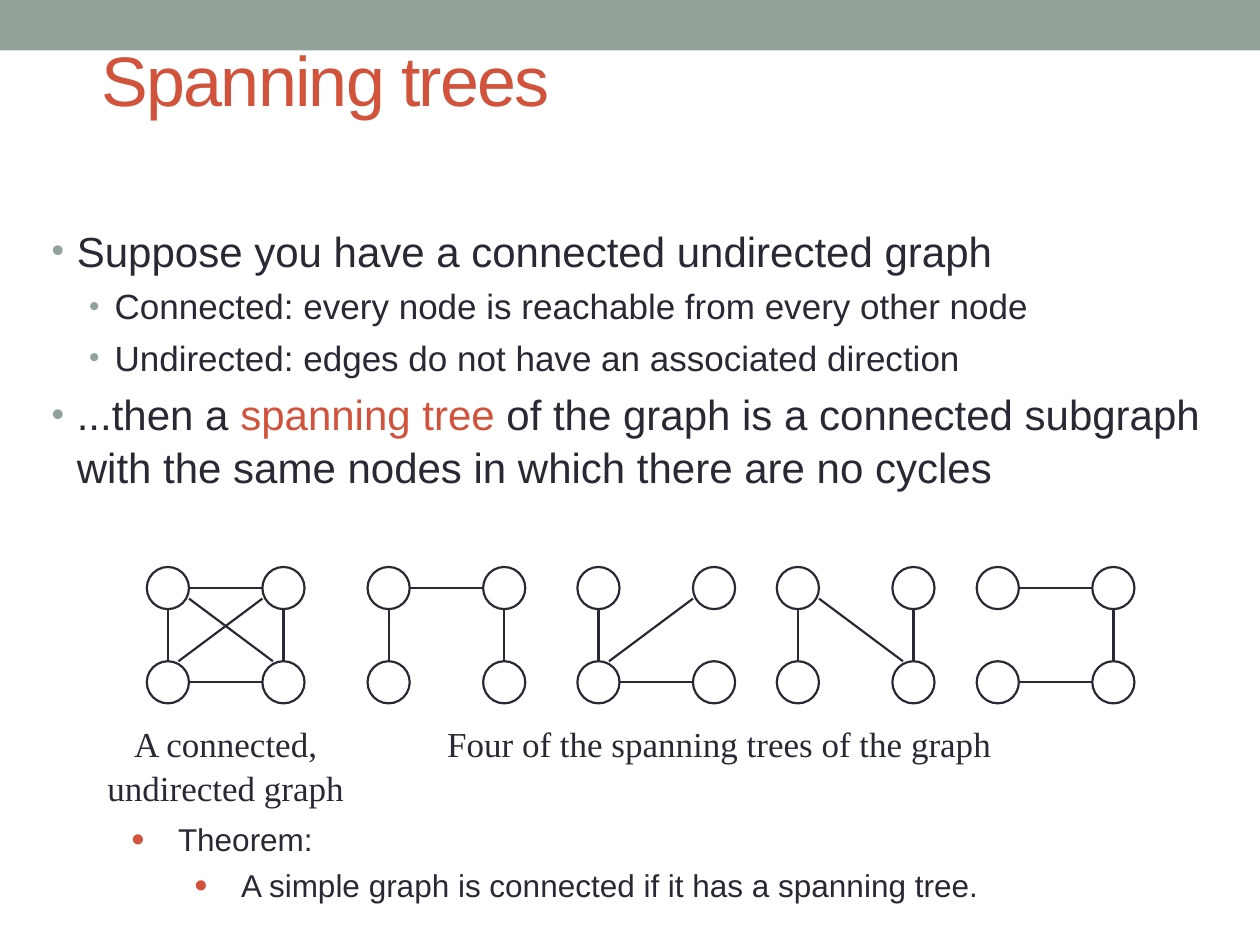
"""Builds a slide on the spanning trees of a connected undirected graph."""
from dataclasses import dataclass

from lxml import etree
from pptx import Presentation
from pptx import util as u
from pptx.dml import color
from pptx.enum import shapes, text
from pptx.oxml import ns

INK, ACCENT, SAGE = "292934", "D2533C", "93A299"
NODE, COL, ROW, TOP = 0.85, 2.33, 1.9, 11.43
NODES = {"TL": (0, 0), "BL": (0, ROW), "BR": (COL, ROW), "TR": (COL, 0)}
HALF, NEAR, FAR = NODE / 2, NODE * 0.75, NODE * 0.25
EDGES = {
    "left": (HALF, NODE, HALF, ROW),
    "right": (COL + HALF, NODE, COL + HALF, ROW),
    "top": (NODE, HALF, COL, HALF),
    "bottom": (NODE, ROW + HALF, COL, ROW + HALF),
    "rising": (NEAR, ROW, COL, NEAR),
    "falling": (NODE, NEAR, COL + FAR, ROW),
}


@dataclass
class Graph:
    left: float
    edges: str


@dataclass
class Bullet:
    char: str
    color: str
    percent: int
    margin: float
    hang: float


@dataclass
class Para:
    runs: list[tuple[str, str]]
    size: float
    bullet: Bullet | None = None
    level: int = 0


FULL_GRAPH = Graph(2.96, "left right top bottom rising falling")
TREES = [
    Graph(7.41, "left right top"),
    Graph(11.64, "left bottom rising"),
    Graph(15.66, "left right falling"),
    Graph(19.69, "right top bottom"),
]
POINT = Bullet("•", SAGE, 85, 0.51, 0.51)
SUBPOINT = Bullet("•", SAGE, 85, 1.27, 0.51)
THEOREM = Bullet("●", ACCENT, 75, 0.95, 0.95)
SUBTHEOREM = Bullet("●", ACCENT, 75, 2.22, 0.95)


def rgb(code: str) -> color.RGBColor:
    return color.RGBColor.from_string(code)


def add_bullet(p, bullet: Bullet) -> None:
    pPr = p._p.get_or_add_pPr()
    pPr.set("marL", str(u.Cm(bullet.margin)))
    pPr.set("indent", str(-u.Cm(bullet.hang)))
    clr = etree.SubElement(pPr, ns.qn("a:buClr"))
    etree.SubElement(clr, ns.qn("a:srgbClr"), val=bullet.color)
    etree.SubElement(pPr, ns.qn("a:buSzPct"), val=str(bullet.percent * 1000))
    etree.SubElement(pPr, ns.qn("a:buFont"), typeface="Arial")
    etree.SubElement(pPr, ns.qn("a:buChar"), char=bullet.char)


def add_text(parent, box: tuple, paras: list[Para], *, font: str = "Arial",
             align=text.PP_ALIGN.LEFT, anchor=text.MSO_ANCHOR.TOP,
             before: float = 0.2, leading: float = 1.05, tracking: float = 0) -> None:
    tf = parent.add_textbox(*map(u.Cm, box)).text_frame
    tf.word_wrap = True
    tf.vertical_anchor = anchor
    for i, para in enumerate(paras):
        p = tf.add_paragraph() if i else tf.paragraphs[0]
        p.alignment, p.level, p.line_spacing = align, para.level, leading
        p.space_before = u.Pt(para.size * before)
        if para.bullet:
            add_bullet(p, para.bullet)
        for words, code in para.runs:
            for n, line in enumerate(words.split("\n")):
                if n:
                    p.add_line_break()
                r = p.add_run()
                r.text = line
                r.font.name, r.font.size = font, u.Pt(para.size)
                r.font.color.rgb = rgb(code)
                if tracking:
                    r._r.get_or_add_rPr().set("spc", str(int(tracking * 100)))


def add_caption(parent, box: tuple, words: str) -> None:
    add_text(parent, box, [Para([(words, INK)], 20)], font="Times New Roman",
             align=text.PP_ALIGN.CENTER, before=0.5)


def add_outline(line) -> None:
    line.color.rgb = rgb(INK)
    line.width = u.Pt(1.25)


def add_graph(parent, graph: Graph) -> None:
    for x, y in NODES.values():
        sp = parent.add_shape(shapes.MSO_SHAPE.OVAL, u.Cm(graph.left + x),
                              u.Cm(TOP + y), u.Cm(NODE), u.Cm(NODE))
        sp.shadow.inherit = False
        sp.fill.background()
        add_outline(sp.line)
    for edge in graph.edges.split():
        x1, y1, x2, y2 = EDGES[edge]
        cxn = parent.add_connector(shapes.MSO_CONNECTOR.STRAIGHT,
                                   u.Cm(graph.left + x1), u.Cm(TOP + y1),
                                   u.Cm(graph.left + x2), u.Cm(TOP + y2))
        add_outline(cxn.line)
        etree.SubElement(cxn._element.spPr, ns.qn("a:effectLst"))


def main() -> None:
    prs = Presentation()
    prs.slide_width, prs.slide_height = u.Cm(25.4), u.Cm(19.05)
    s = prs.slides.add_slide(prs.slide_layouts[6])

    bar = s.shapes.add_shape(shapes.MSO_SHAPE.RECTANGLE, 0, 0, prs.slide_width, u.Cm(1.02))
    bar.shadow.inherit = False
    bar.fill.solid()
    bar.fill.fore_color.rgb = rgb(SAGE)
    bar.line.fill.background()

    add_text(s.shapes, (1.8, 0, 21.8, 3.18), [Para([("Spanning trees", ACCENT)], 40)],
             anchor=text.MSO_ANCHOR.MIDDLE, before=0, leading=1, tracking=-1)
    add_text(s.shapes, (0.79, 4.37, 23.82, 6.17), [
        Para([("Suppose you have a connected undirected graph", INK)], 24, POINT),
        Para([("Connected: every node is reachable from every other node", INK)],
             20, SUBPOINT, 1),
        Para([("Undirected: edges do not have an associated direction", INK)],
             20, SUBPOINT, 1),
        Para([("...then a ", INK), ("spanning tree", ACCENT),
              (" of the graph is a connected subgraph with the same nodes"
               " in which there are no cycles", INK)], 24, POINT),
    ])

    original = s.shapes.add_group_shape().shapes
    add_graph(original, FULL_GRAPH)
    add_caption(original, (1.7, 14.4, 5.7, 1.95), "A connected,\nundirected graph")

    trees = s.shapes.add_group_shape().shapes
    for tree in TREES:
        add_graph(trees, tree)
    add_caption(trees, (7.41, 14.4, 14.18, 1.1), "Four of the spanning trees of the graph")

    add_text(s.shapes, (2.39, 16.36, 21.34, 1.7), [
        Para([("Theorem:", INK)], 18, THEOREM),
        Para([("A simple graph is connected if it has a spanning tree.", INK)],
             18, SUBTHEOREM, 1),
    ])
    prs.save("out.pptx")


if __name__ == "__main__":
    main()
